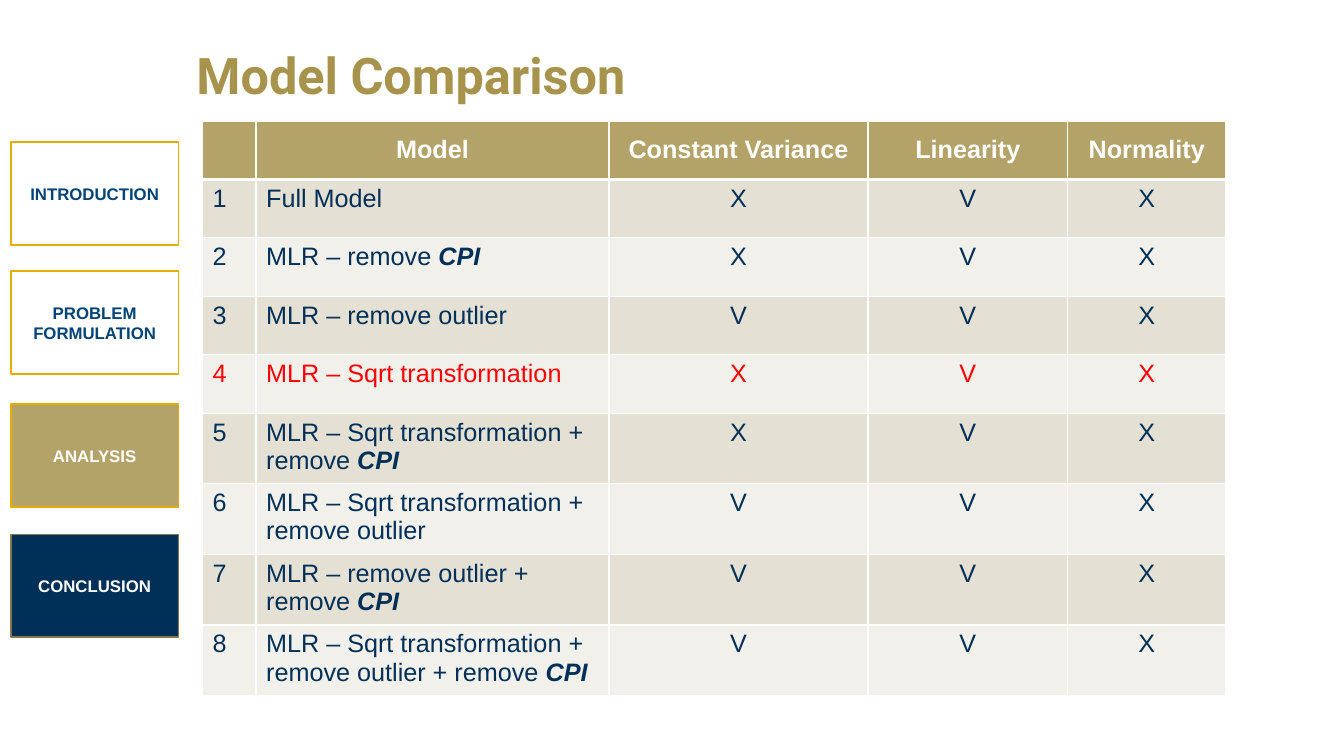
from lxml.etree import SubElement
from pptx import Presentation
from pptx.dml.color import RGBColor
from pptx.enum.shapes import MSO_SHAPE as Shape
from pptx.enum.text import MSO_ANCHOR as Anchor, PP_ALIGN as Align
from pptx.oxml.ns import qn
from pptx.util import Inches, Pt

WHITE, GOLD, NAVY, RED = "FFFFFF", "B3A369", "003057", "FF0000"
BLUE, AMBER, OLIVE = "004376", "EAAA00", "84794E"
BANDS = ("E5E0D4", "F2F0EB")

COLUMNS = (0.53, 3.5, 2.57, 1.98, 1.57)
ROW_HEIGHT = 0.58
HEADINGS = ("", "Model", "Constant Variance", "Linearity", "Normality")
EMPHASIS = "CPI"
# Model, then the checks for constant variance, linearity and normality
MODELS = (
    ("Full Model", "XVX"),
    ("MLR – remove CPI", "XVX"),
    ("MLR – remove outlier", "VVX"),
    ("MLR – Sqrt transformation", "XVX"),
    ("MLR – Sqrt transformation + remove CPI", "XVX"),
    ("MLR – Sqrt transformation + remove outlier", "VVX"),
    ("MLR – remove outlier + remove CPI", "VVX"),
    ("MLR – Sqrt transformation + remove outlier + remove CPI", "VVX"),
)
HIGHLIGHTED = 4

# Label, top, fill, outline, text colour
SECTIONS = (
    ("INTRODUCTION", 1.41, WHITE, AMBER, BLUE),
    ("PROBLEM FORMULATION", 2.69, WHITE, AMBER, BLUE),
    ("ANALYSIS", 4.01, GOLD, AMBER, WHITE),
    ("CONCLUSION", 5.3, NAVY, OLIVE, WHITE),
)


def rgb(code):
    return RGBColor.from_string(code)


def paint(target, code):
    target.fill.solid()
    target.fill.fore_color.rgb = rgb(code)


def style(paragraph, size, color, bold=False, face="Arial", align=Align.LEFT):
    paragraph.alignment = align
    font = paragraph.font
    font.name, font.size, font.bold = face, Pt(size), bold
    font.color.rgb = rgb(color)


def add_title(slide, text):
    title = slide.shapes.add_textbox(Inches(1.85), Inches(0.22), Inches(11.06), Inches(1.11))
    frame = title.text_frame
    frame.word_wrap = True
    frame.vertical_anchor = Anchor.MIDDLE
    heading = frame.paragraphs[0]
    heading.text = text
    heading.line_spacing = 0.9
    style(heading, 36, "A7934B", bold=True, face="Roboto")


def add_section(slide, label, top, fill, outline, color):
    section = slide.shapes.add_shape(
        Shape.RECTANGLE, Inches(0.11), Inches(top), Inches(1.66), Inches(1.02))
    section.shadow.inherit = False
    paint(section, fill)
    section.line.color.rgb = rgb(outline)
    section.line.width = Pt(1)
    frame = section.text_frame
    frame.word_wrap = True
    frame.vertical_anchor = Anchor.MIDDLE
    frame.text = label
    style(frame.paragraphs[0], 12, color, bold=True, align=Align.CENTER)


def add_borders(cell, top=1, bottom=1):
    """White rules around a cell; they precede the fill in the cell properties."""
    properties = cell._tc.get_or_add_tcPr()
    for side, width in (("L", 1), ("R", 1), ("T", top), ("B", bottom)):
        rule = SubElement(properties, qn(f"a:ln{side}"), w=str(Pt(width)))
        SubElement(SubElement(rule, qn("a:solidFill")), qn("a:srgbClr"), val=WHITE)


def fill_cell(cell, text, fill, color, align, header=False, top=1):
    add_borders(cell, top, bottom=3 if header else 1)
    paint(cell, fill)
    cell.vertical_anchor = Anchor.MIDDLE if header else Anchor.TOP
    paragraph = cell.text_frame.paragraphs[0]
    plain, emphasis, _ = text.partition(EMPHASIS)
    if plain:
        paragraph.add_run().text = plain
    if emphasis:
        strong = paragraph.add_run()
        strong.text = emphasis
        strong.font.bold = strong.font.italic = True
    style(paragraph, 18, color, bold=header, align=align)


def add_comparison(slide):
    rows = len(MODELS) + 1
    table = slide.shapes.add_table(
        rows, len(COLUMNS), Inches(2.01), Inches(1.2),
        Inches(sum(COLUMNS)), Inches(rows * ROW_HEIGHT)).table
    for column, width in zip(table.columns, COLUMNS):
        column.width = Inches(width)
    # Header row
    for column, heading in enumerate(HEADINGS):
        fill_cell(table.cell(0, column), heading, GOLD, WHITE, Align.CENTER, header=True)
    # One banded row for each model
    for number, (model, checks) in enumerate(MODELS, 1):
        color = RED if number == HIGHLIGHTED else NAVY
        for column, text in enumerate((str(number), model, *checks)):
            fill_cell(table.cell(number, column), text, BANDS[(number - 1) % 2], color,
                      Align.LEFT if column < 2 else Align.CENTER,
                      top=3 if number == 1 else 1)


def main():
    deck = Presentation()
    deck.slide_width, deck.slide_height = Inches(13.33), Inches(7.5)
    slide = deck.slides.add_slide(deck.slide_layouts[6])
    add_title(slide, "Model Comparison")
    add_comparison(slide)
    for section in SECTIONS:
        add_section(slide, *section)
    deck.save("out.pptx")


if __name__ == "__main__":
    main()
